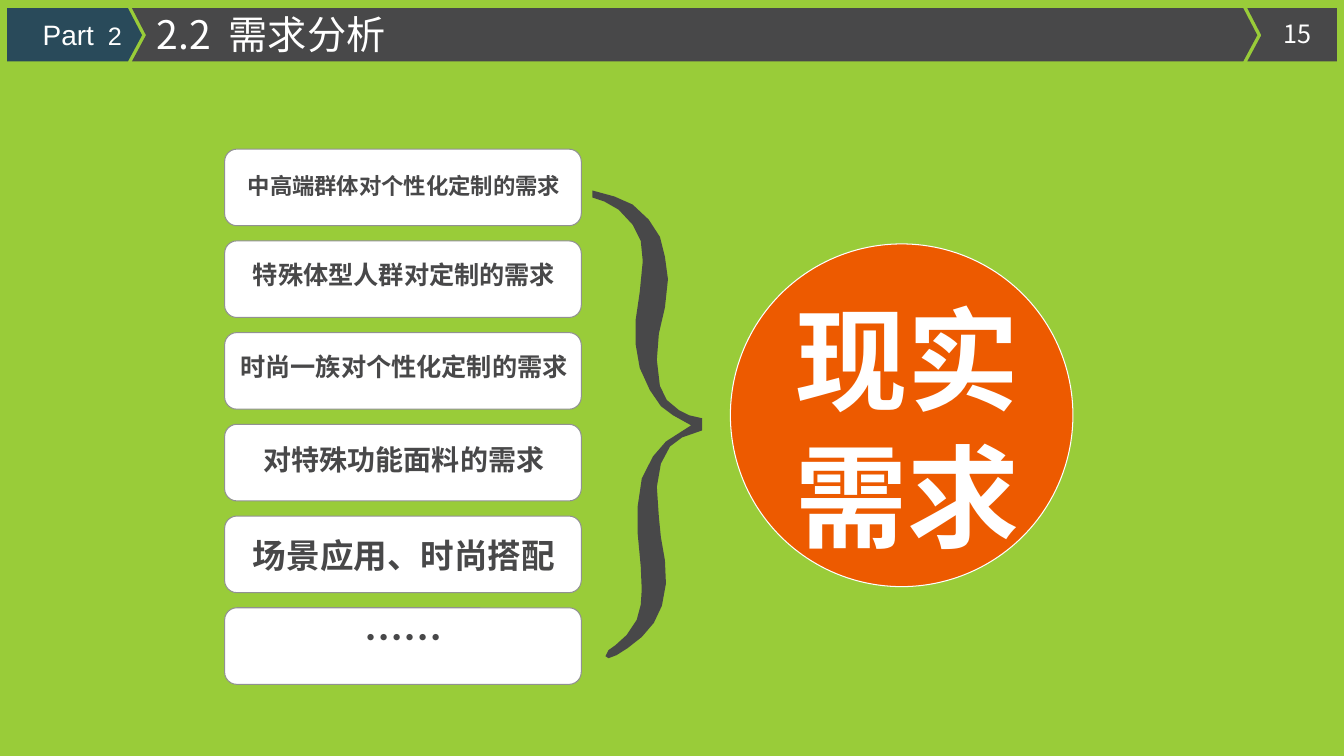
import pptx
import pptx.util
import pptx.dml.color
import pptx.enum.shapes
import pptx.enum.text
import pptx.oxml.ns
from lxml import etree
from dataclasses import dataclass

PX = 9144  # EMU per px, 100 px to the inch


@dataclass(frozen=True)
class Theme:
    green: str = "99CC39"
    navy: str = "294A5A"
    dark: str = "484849"
    orange: str = "ED5A00"
    white: str = "FFFFFF"
    grey: str = "919192"
    cjk: str = "Noto Sans CJK SC"
    latin: str = "Arial"
    title: int = 28
    chapter: int = 20
    number: int = 18
    goal: int = 80
    leading: float = 1.215


theme = Theme()
LEFT = pptx.enum.text.PP_ALIGN.LEFT
CENTER = pptx.enum.text.PP_ALIGN.CENTER
RIGHT = pptx.enum.text.PP_ALIGN.RIGHT
RGB = pptx.dml.color.RGBColor.from_string


def paint(sp, fill, line=None):
    sp.shadow.inherit = False
    sp.fill.solid()
    sp.fill.fore_color.rgb = RGB(fill)
    if line:
        sp.line.color.rgb = RGB(line)
        sp.line.width = 0
    else:
        sp.line.fill.background()


def add_text(box, text, size, color, align=LEFT, bold=False, font=theme.cjk, wrap=True):
    """Add a one-paragraph text box; box is left, top, width, height in px."""
    tf = s.shapes.add_textbox(*(v * PX for v in box)).text_frame
    tf.word_wrap = wrap
    p = tf.paragraphs[0]
    p.add_run().text = text
    p.alignment = align
    p.font.size = pptx.util.Pt(size)
    p.font.bold = bold
    p.font.color.rgb = RGB(color)
    p.font.name = font
    if font == theme.cjk:
        p.line_spacing = pptx.util.Pt(size * theme.leading)
        latin = next(p._p.iter(pptx.oxml.ns.qn("a:latin")))
        ea = etree.Element(pptx.oxml.ns.qn("a:ea"), typeface=font)
        latin.addnext(ea)
    return p


prs = pptx.Presentation()
prs.slide_width, prs.slide_height = 1334 * PX, 750 * PX
s = prs.slides.add_slide(prs.slide_layouts[6])
s.background.fill.solid()
s.background.fill.fore_color.rgb = RGB(theme.green)

# Header band and brace
chapter_tab = [(7, 8), (127, 8), (141, 35), (127, 61), (7, 61)]
title_bar = [(131, 8), (1234, 8), (1248, 35), (1234, 61), (131, 61), (145, 35)]
number_tab = [(1238, 8), (1327, 8), (1327, 61), (1238, 61), (1252, 35)]
brace = [
    (588, 196), (588, 189), (610, 195), (628, 203), (644, 218), (655, 235),
    (660, 255), (663, 277), (660, 305), (654, 331), (652, 357), (655, 383),
    (662, 397), (674, 407), (684, 412), (697, 415), (697, 427), (677, 434),
    (665, 443), (656, 460), (652, 483), (654, 513), (656, 533), (660, 556),
    (661, 579), (657, 601), (649, 618), (637, 632), (623, 643), (612, 650),
    (604, 653), (601, 651), (604, 645), (611, 640), (622, 630), (632, 615),
    (636, 600), (637, 585), (636, 562), (633, 530), (633, 502), (637, 475),
    (648, 453), (661, 438), (686, 422), (668, 412), (656, 403), (645, 387),
    (635, 365), (631, 342), (631, 317), (635, 290), (638, 259), (636, 239),
    (628, 223), (614, 208), (600, 200),
]
for outline, color in (
    (chapter_tab, theme.navy),
    (title_bar, theme.dark),
    (number_tab, theme.dark),
    (brace, theme.dark),
):
    fb = s.shapes.build_freeform(*outline[0], scale=PX)
    fb.add_line_segments(outline[1:], close=True)
    paint(fb.convert_to_shape(), color)

add_text((1261, 13, 54, 40), "15", theme.number, theme.white, CENTER, wrap=False)
add_text((146, 5, 551, 57), "2.2  需求分析", theme.title, theme.white)
p = add_text((15, 12, 116, 44), "Part", theme.chapter, theme.white, RIGHT, font=theme.latin)
r = p.add_run()
r.text = "  2"
r.font.size = pptx.util.Pt(theme.number)

# Needs: text, type size, text offset from the card top, text height
needs = [
    ("中高端群体对个性化定制的需求", 16, 18, 37),
    ("特殊体型人群对定制的需求", 18, 13, 40),
    ("时尚一族对个性化定制的需求", 18, 13, 40),
    ("对特殊功能面料的需求", 20, 13, 44),
    ("场景应用、时尚搭配", 24, 13, 50),
    ("……", 28, 0, 57),
]
shapes = pptx.enum.shapes.MSO_SHAPE
for i, (need, size, offset, height) in enumerate(needs):
    top = 148 + 91 * i
    card = s.shapes.add_shape(shapes.ROUNDED_RECTANGLE, 223 * PX, top * PX, 354 * PX, 76 * PX)
    card.adjustments[0] = 0.16
    paint(card, theme.white, theme.grey)
    add_text((225, top + offset, 352, height), need, size, theme.dark, CENTER, bold=True)

# Goal
circle = s.shapes.add_shape(shapes.OVAL, 725 * PX, 242 * PX, 340 * PX, 340 * PX)
paint(circle, theme.orange, theme.white)
add_text((780, 282, 268, 279), "现实需求", theme.goal, theme.white, bold=True)

prs.save("out.pptx")
